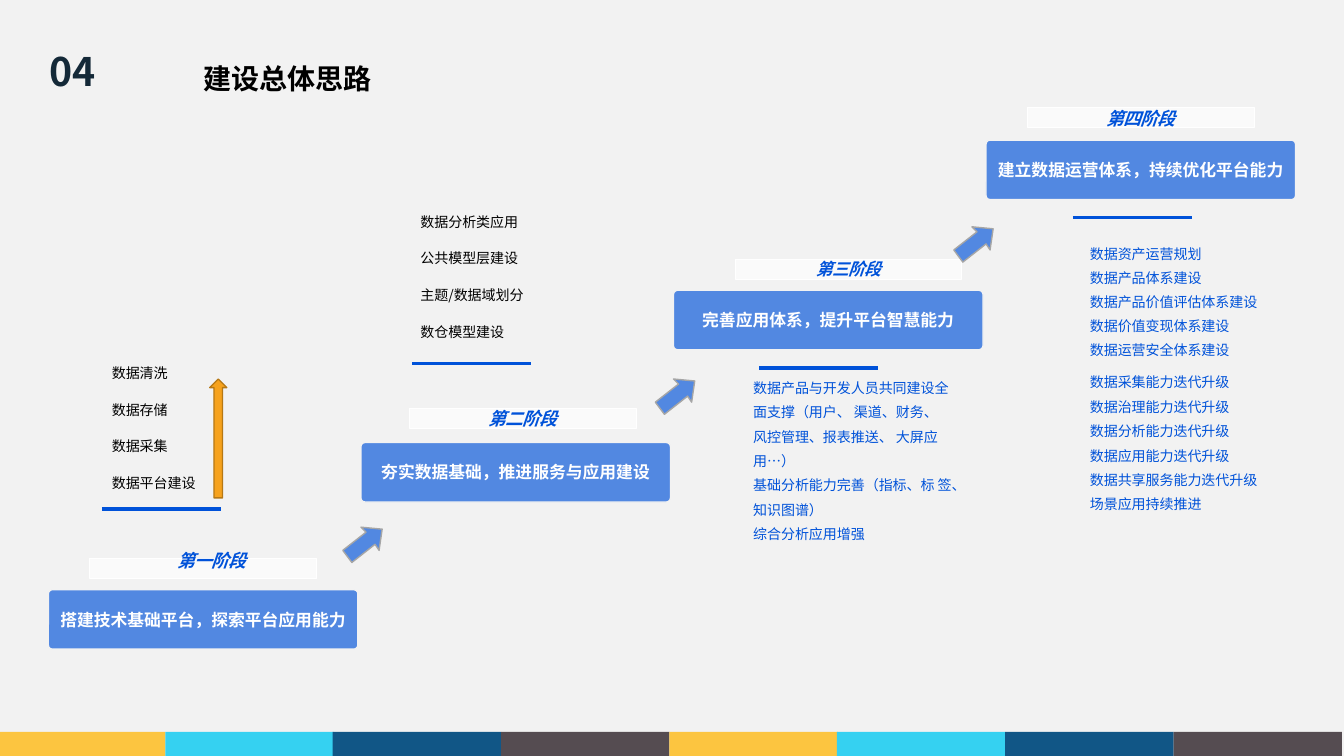
from dataclasses import dataclass

import pptx
import pptx.dml.color
import pptx.enum.shapes
import pptx.enum.text
import pptx.oxml
import pptx.oxml.ns
import pptx.util

RGBColor = pptx.dml.color.RGBColor
Shape = pptx.enum.shapes.MSO_SHAPE
Align = pptx.enum.text.PP_ALIGN
Anchor = pptx.enum.text.MSO_ANCHOR
Pt = pptx.util.Pt

PX = 9144  # 100 px to the inch
FONT = "Noto Sans CJK SC"
BACKGROUND = RGBColor(0xF2, 0xF2, 0xF2)
BLUE = RGBColor(0x00, 0x52, 0xD9)
WHITE = RGBColor(0xFF, 0xFF, 0xFF)
BLACK = RGBColor(0x00, 0x00, 0x00)
NAVY = RGBColor(0x14, 0x29, 0x38)
GREY = RGBColor(0xA6, 0xA6, 0xA6)
ORANGE = RGBColor(0xF6, 0xA2, 0x1D)
BROWN = RGBColor(0xB6, 0x78, 0x15)
STRIPES = [RGBColor(0xFC, 0xC5, 0x40), RGBColor(0x35, 0xD1, 0xF1),
           RGBColor(0x11, 0x56, 0x86), RGBColor(0x55, 0x4C, 0x51)]
STEP_ARROW = [(0, 23), (23, 5), (18, 0), (39, 2), (36, 23), (32, 17), (9, 35)]


@dataclass(frozen=True)
class Stage:
    label: str
    goal: str
    banner: tuple[int, int]
    plate: tuple[int, int]
    rule: tuple[int, int]
    label_size: float = 12.7
    label_shift: tuple[int, int] = (0, 0)


@dataclass(frozen=True)
class Details:
    left: int
    top: int
    width: int
    height: int
    lines: list[str]
    color: RGBColor
    line_pitch: float
    gap: float = 0


STAGES = [
    Stage("第一阶段", "搭建技术基础平台，探索平台应用能力", (48, 585), (89, 554), (101, 505),
          label_shift=(9, -8)),
    Stage("第二阶段", "夯实数据基础，推进服务与应用建设", (358, 439), (406, 405), (409, 361)),
    Stage("第三阶段", "完善应用体系，提升平台智慧能力", (668, 288), (729, 257), (753, 365),
          label_size=12),
    Stage("第四阶段", "建立数据运营体系，持续优化平台能力", (978, 139), (1019, 107), (1064, 216)),
]
DETAILS = [
    Details(111, 360, 143, 150, ["数据清洗", "数据存储", "数据采集", "数据平台建设"],
            BLACK, 13.1, 13.1),
    Details(417, 210, 143, 131,
            ["数据分析类应用", "公共模型层建设", "主题/数据域划分", "数仓模型建设"],
            BLACK, 13.1, 13.1),
    Details(747, 369, 199, 151,
            ["数据产品与开发人员共同建设全面支撑（用户、 渠道、财务、 风控管理、报表推送、 大屏应用…）",
             "基础分析能力完善（指标、标 签、知识图谱）", "综合分析应用增强"], BLUE, 17.4),
    Details(1081, 237, 180, 122,
            ["数据资产运营规划", "数据产品体系建设", "数据产品价值评估体系建设",
             "数据价值变现体系建设", "数据运营安全体系建设"], BLUE, 17),
    Details(1081, 363, 180, 145,
            ["数据采集能力迭代升级", "数据治理能力迭代升级", "数据分析能力迭代升级",
             "数据应用能力迭代升级", "数据共享服务能力迭代升级", "场景应用持续推进"], BLUE, 17.5),
]
STEP_ARROWS = [(340, 523), (650, 376), (946, 225)]


def px(*lengths: int) -> list[int]:
    return [length * PX for length in lengths]


def set_font(para, size: float, color: RGBColor, bold: bool = False,
             italic: bool = False, spacing: float = 0) -> None:
    font = para.font
    font.name, font.size, font.bold, font.italic = FONT, Pt(size), bold, italic
    font.color.rgb = color
    defaults = para._p.pPr.find(pptx.oxml.ns.qn("a:defRPr"))
    if spacing:
        defaults.set("spc", str(round(spacing * 100)))
    east_asian = pptx.oxml.parse_xml(
        f'<a:ea {pptx.oxml.ns.nsdecls("a")} typeface="{FONT}"/>')
    defaults.find(pptx.oxml.ns.qn("a:latin")).addnext(east_asian)


def prepare_frame(shape, anchor, margin: int = 0):
    frame = shape.text_frame
    frame.word_wrap = True
    frame.auto_size = pptx.enum.text.MSO_AUTO_SIZE.NONE
    frame.vertical_anchor = anchor
    frame.margin_left = frame.margin_right = margin * PX
    frame.margin_top = frame.margin_bottom = margin // 2 * PX
    return frame


def add_line_of_text(shape, text: str, align, anchor, margin: int = 0):
    para = prepare_frame(shape, anchor, margin).paragraphs[0]
    para.text = text
    para.alignment = align
    return para


def paint(shape, fill: RGBColor, line: RGBColor | None = None,
          line_width: float = 0, opacity: int = 100) -> None:
    shape.shadow.inherit = False
    shape.fill.solid()
    shape.fill.fore_color.rgb = fill
    if opacity < 100:
        color = shape._element.spPr.find(".//" + pptx.oxml.ns.qn("a:srgbClr"))
        color.append(pptx.oxml.parse_xml(
            f'<a:alpha {pptx.oxml.ns.nsdecls("a")} val="{opacity * 1000}"/>'))
    if line is None:
        shape.line.fill.background()
    else:
        shape.line.color.rgb = line
        shape.line.width = Pt(line_width)


def add_stage(page, stage: Stage) -> None:
    banner = page.shapes.add_shape(Shape.ROUNDED_RECTANGLE, *px(*stage.banner, 307, 59))
    banner.adjustments[0] = 0.07
    paint(banner, BLUE, BACKGROUND, 0.96, opacity=66)
    set_font(add_line_of_text(banner, stage.goal, Align.CENTER, Anchor.MIDDLE), 12, WHITE, bold=True)

    left, top = stage.plate
    plate = page.shapes.add_shape(Shape.RECTANGLE, *px(left, top, 225, 20))
    paint(plate, WHITE, WHITE, opacity=66)
    shift_x, shift_y = stage.label_shift
    label = page.shapes.add_textbox(*px(left + shift_x, top + shift_y, 225, 20))
    set_font(add_line_of_text(label, stage.label, Align.CENTER, Anchor.MIDDLE),
             stage.label_size, BLUE, bold=True, italic=True, spacing=-0.5)

    left, top = stage.rule
    rule = page.shapes.add_connector(pptx.enum.shapes.MSO_CONNECTOR.STRAIGHT,
                                     *px(left, top, left + 118, top))
    rule.line.color.rgb = BLUE
    rule.line.width = Pt(2.28)
    rule._element.spPr.append(pptx.oxml.parse_xml(
        f'<a:effectLst {pptx.oxml.ns.nsdecls("a")}/>'))


def add_details(page, details: Details) -> None:
    box = page.shapes.add_textbox(*px(details.left, details.top, details.width, details.height))
    frame = prepare_frame(box, Anchor.TOP)
    for index, line in enumerate(details.lines):
        para = frame.add_paragraph() if index else frame.paragraphs[0]
        para.text = line
        para.line_spacing = Pt(details.line_pitch)
        if index:
            para.space_before = Pt(details.gap)
        set_font(para, 10, details.color)


def add_step_arrow(page, left: int, top: int) -> None:
    points = [(left + x, top + y) for x, y in STEP_ARROW]
    builder = page.shapes.build_freeform(*points[0], scale=PX)
    builder.add_line_segments(points[1:], close=True)
    paint(builder.convert_to_shape(), BLUE, GREY, 1, opacity=66)


def main() -> None:
    deck = pptx.Presentation()
    deck.slide_width, deck.slide_height = px(1333, 750)
    page = deck.slides.add_slide(deck.slide_layouts.get_by_name("Title Only"))
    page.background.fill.solid()
    page.background.fill.fore_color.rgb = BACKGROUND

    title = page.shapes.title
    title.left, title.top, title.width, title.height = px(192, 46, 220, 49)
    para = add_line_of_text(title, "建设总体思路", Align.LEFT, Anchor.TOP, margin=10)
    para.line_spacing = Pt(31.5)
    set_font(para, 20, BLACK, bold=True)
    number = page.shapes.add_textbox(*px(37, 42, 69, 57))
    set_font(add_line_of_text(number, "04", Align.CENTER, Anchor.TOP, margin=10), 28, NAVY, bold=True)

    for stage in STAGES:
        add_stage(page, stage)
    for left, top in STEP_ARROWS:
        add_step_arrow(page, left, top)
    for details in DETAILS:
        add_details(page, details)
    up_arrow = page.shapes.add_shape(Shape.UP_ARROW, *px(208, 376, 17, 118))
    paint(up_arrow, ORANGE, BROWN, 1)

    for index, color in enumerate(STRIPES * 2):
        stripe = page.shapes.add_shape(
            Shape.RECTANGLE, *px(round(index * 500 / 3) - 3, 726, 167, 25))
        paint(stripe, color)

    deck.save("out.pptx")


if __name__ == "__main__":
    main()
